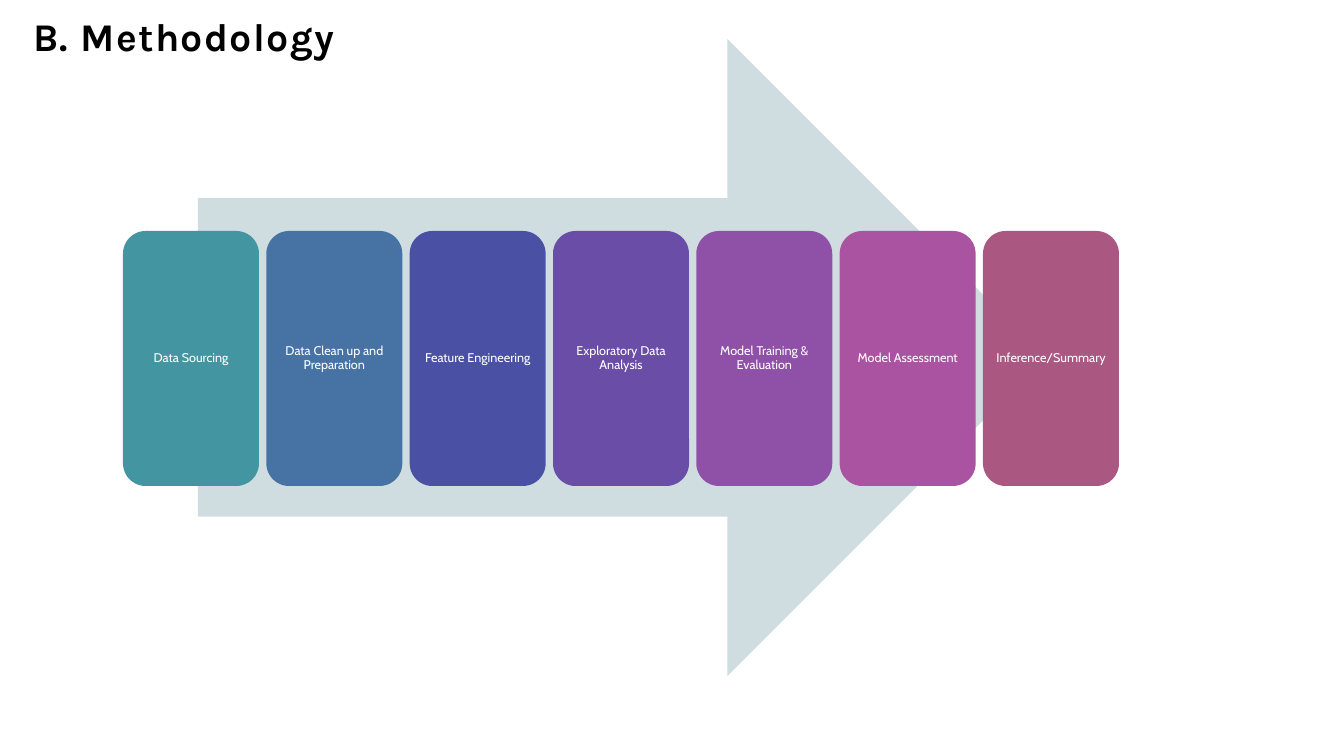
from pptx import Presentation
from pptx.dml.color import RGBColor
from pptx.enum.shapes import MSO_SHAPE
from pptx.enum.text import MSO_ANCHOR, PP_ALIGN
from pptx.util import Pt

PX = 914400 / 100.8

BLACK = RGBColor(0x00, 0x00, 0x00)
WHITE = RGBColor(0xFF, 0xFF, 0xFF)
PALE_TEAL = RGBColor(0xCF, 0xDD, 0xE0)
TEAL = RGBColor(0x44, 0x95, 0xA2)
BLUE = RGBColor(0x47, 0x72, 0xA4)
INDIGO = RGBColor(0x4A, 0x51, 0xA5)
VIOLET = RGBColor(0x6A, 0x4D, 0xA7)
PURPLE = RGBColor(0x8F, 0x50, 0xA8)
MAGENTA = RGBColor(0xAA, 0x54, 0xA1)
ROSE = RGBColor(0xAA, 0x58, 0x81)

STEPS = [
    ("Data Sourcing", TEAL),
    ("Data Clean up and Preparation", BLUE),
    ("Feature Engineering", INDIGO),
    ("Exploratory Data Analysis", VIOLET),
    ("Model Training & Evaluation", PURPLE),
    ("Model Assessment", MAGENTA),
    ("Inference/Summary", ROSE),
]
FIRST_LEFT, LAST_LEFT = 123, 983
CARD_TOP, CARD_WIDTH, CARD_HEIGHT = 231, 136, 255
CARD_INSET = 11


def px(length):
    return round(length * PX)


def add_plain_shape(preset, left, top, width, height, colour):
    """Add a preset shape with a solid fill, no outline and no shadow."""
    shape = slide.shapes.add_shape(preset, px(left), px(top), px(width), px(height))
    shape.shadow.inherit = False
    shape.fill.solid()
    shape.fill.fore_color.rgb = colour
    shape.line.fill.background()
    return shape


prs = Presentation()
prs.slide_width = px(1344)
prs.slide_height = px(756)
slide = prs.slides.add_slide(prs.slide_layouts[6])

# Title
title = slide.shapes.add_textbox(px(33), px(11), px(1214), px(49)).text_frame
title.word_wrap = True
title.vertical_anchor = MSO_ANCHOR.BOTTOM
title.margin_left = title.margin_right = title.margin_top = title.margin_bottom = 0
heading = title.paragraphs[0]
heading.line_spacing = 0.9
heading.font.name = "Karla"
heading.font.size = Pt(28)
heading.font.bold = True
heading.font.color.rgb = BLACK
heading_run = heading.add_run()
heading_run.text = "B. Methodology"
heading_run._r.get_or_add_rPr().set("spc", "100")

# Process arrow behind the evenly spaced step cards
add_plain_shape(MSO_SHAPE.RIGHT_ARROW, 198, 39, 848, 637, PALE_TEAL)

pitch = (LAST_LEFT - FIRST_LEFT) / (len(STEPS) - 1)
for index, (step, colour) in enumerate(STEPS):
    card = add_plain_shape(MSO_SHAPE.ROUNDED_RECTANGLE, FIRST_LEFT + index * pitch,
                           CARD_TOP, CARD_WIDTH, CARD_HEIGHT, colour)
    # The preset's own text area is already inset by the corner radius.
    frame = card.text_frame
    frame.word_wrap = True
    frame.vertical_anchor = MSO_ANCHOR.MIDDLE
    frame.margin_left = frame.margin_right = px(CARD_INSET - 7)
    frame.margin_top = frame.margin_bottom = px(CARD_INSET - 7)
    label = frame.paragraphs[0]
    label.text = step
    label.alignment = PP_ALIGN.CENTER
    label.line_spacing = 0.9
    label.font.name = "Cabin"
    label.font.size = Pt(9)
    label.font.color.rgb = WHITE

prs.save("out.pptx")
